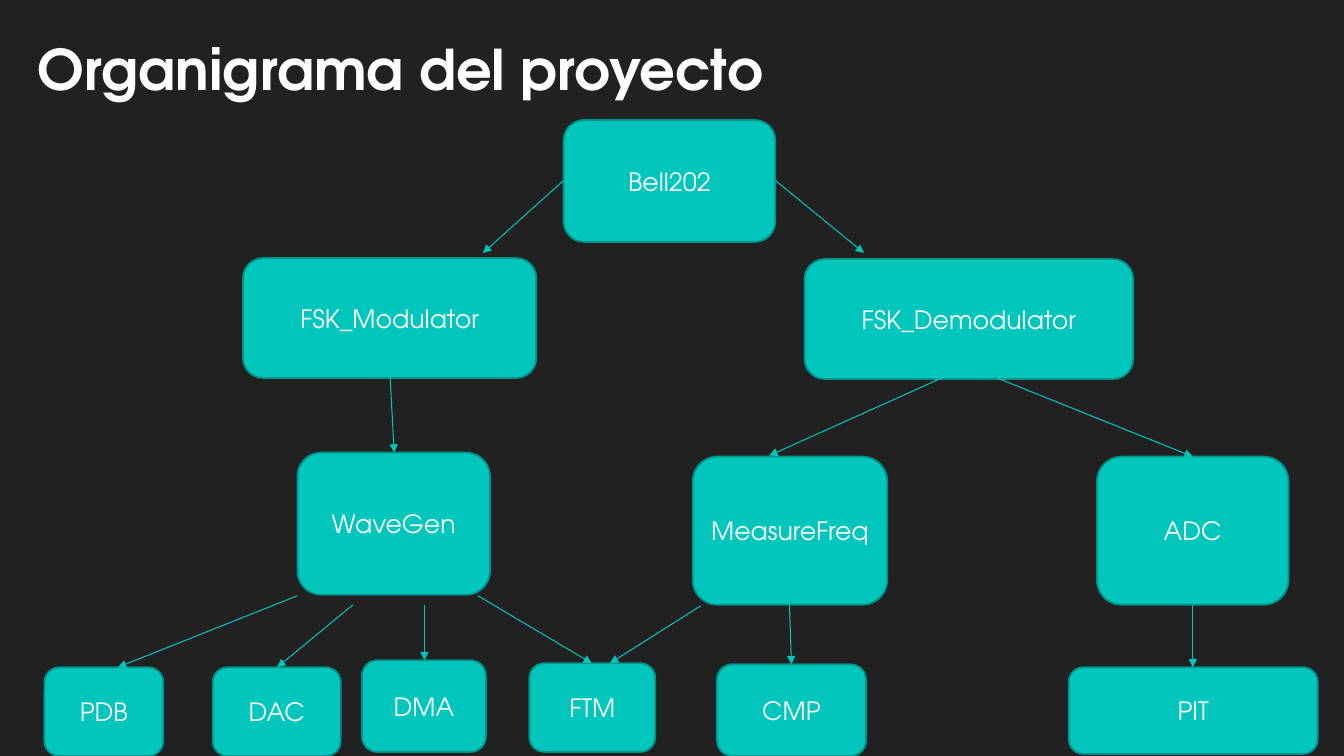
from lxml.etree import SubElement
from pptx import Presentation
from pptx.dml.color import RGBColor
from pptx.enum.shapes import MSO_CONNECTOR as Connector, MSO_SHAPE as Shape
from pptx.enum.text import MSO_ANCHOR as Anchor, PP_ALIGN as Align
from pptx.oxml.ns import qn
from pptx.util import Emu, Pt

EMU_PER_PX = 9144
SLIDE_SIZE = (1333, 750)
TITLE_BOX = (27, 0, 1156, 106)
CHART_BOX = (0, 106, 1333, 644)

FONT = "TeX Gyre Adventor"
BACKGROUND = RGBColor(0x21, 0x21, 0x21)
TITLE_COLOR = RGBColor(0xFE, 0xFE, 0xFE)
NODE_TEXT = RGBColor(0xFF, 0xFF, 0xFF)
NODE_FILL = RGBColor(0x00, 0xC6, 0xBB)
NODE_BORDER = RGBColor(0x00, 0x92, 0x8A)

NODES = [
    ("Bell202", 559, 13, 210, 121),
    ("FSK_Modulator", 241, 150, 291, 119),
    ("FSK_Demodulator", 798, 151, 326, 119),
    ("WaveGen", 295, 343, 191, 141),
    ("MeasureFreq", 687, 347, 193, 147),
    ("ADC", 1088, 347, 190, 147),
    ("PDB", 44, 556, 118, 88),
    ("DAC", 211, 556, 127, 88),
    ("DMA", 359, 549, 123, 91),
    ("FTM", 525, 552, 125, 88),
    ("CMP", 711, 553, 148, 91),
    ("PIT", 1060, 556, 247, 86),
]

ARROWS = [
    ((559, 73), (479, 145)),
    ((769, 73), (857, 145)),
    ((387, 269), (391, 343)),
    ((934, 269), (763, 346)),
    ((989, 269), (1183, 347)),
    ((295, 485), (117, 556)),
    ((350, 494), (275, 556)),
    ((421, 494), (421, 549)),
    ((474, 485), (587, 552)),
    ((695, 495), (605, 552)),
    ((783, 494), (785, 553)),
    ((1183, 494), (1183, 556)),
]


def px(*lengths):
    """Turn pixel lengths into EMU."""
    return [Emu(length * EMU_PER_PX) for length in lengths]


def add_text_shadow(run):
    """Give a run a soft dark shadow below its letters."""
    effects = SubElement(run._r.get_or_add_rPr(), qn("a:effectLst"))
    shadow = SubElement(effects, qn("a:outerShdw"), blurRad="50800",
                        dist="38100", dir="2700000", algn="tl")
    color = SubElement(shadow, qn("a:srgbClr"), val="000000")
    SubElement(color, qn("a:alpha"), val="45000")


def add_title(slide, box, text):
    """Place the slide title at the bottom of its box."""
    text_frame = slide.shapes.add_textbox(*px(*box)).text_frame
    text_frame.word_wrap = True
    text_frame.vertical_anchor = Anchor.BOTTOM
    text_frame.text = text
    run = text_frame.paragraphs[0].runs[0]
    run.font.size = Pt(40)
    run.font.bold = True
    run.font.color.rgb = TITLE_COLOR
    add_text_shadow(run)
    run.font.name = FONT


def add_node(slide, box, text):
    """Draw one rounded module box with its name."""
    node = slide.shapes.add_shape(Shape.ROUNDED_RECTANGLE, *px(*box))
    node.shadow.inherit = False
    node.fill.solid()
    node.fill.fore_color.rgb = NODE_FILL
    node.line.color.rgb = NODE_BORDER
    node.line.width = Pt(1.25)
    node.text_frame.text = text
    node.text_frame.vertical_anchor = Anchor.MIDDLE
    paragraph = node.text_frame.paragraphs[0]
    paragraph.alignment = Align.CENTER
    font = paragraph.runs[0].font
    font.name = FONT
    font.size = Pt(18)
    font.color.rgb = NODE_TEXT


def add_arrow(slide, start, end):
    """Draw a thin line with a triangle at its end."""
    arrow = slide.shapes.add_connector(Connector.STRAIGHT, *px(*start, *end))
    arrow.line.color.rgb = NODE_FILL
    arrow.line.width = Pt(0.75)
    SubElement(arrow.line._get_or_add_ln(), qn("a:tailEnd"), type="triangle")
    SubElement(arrow._element.spPr, qn("a:effectLst"))


def add_organigram(slide, box):
    """Place all modules and the arrows between them inside the box."""
    left, top = box[:2]
    for name, x, y, width, height in NODES:
        add_node(slide, (left + x, top + y, width, height), name)
    for arrow in ARROWS:
        start, end = [(left + x, top + y) for x, y in arrow]
        add_arrow(slide, start, end)


def main():
    """Build and save the presentation."""
    presentation = Presentation()
    presentation.slide_width, presentation.slide_height = px(*SLIDE_SIZE)
    slide = presentation.slides.add_slide(presentation.slide_layouts[6])
    slide.background.fill.solid()
    slide.background.fill.fore_color.rgb = BACKGROUND
    add_title(slide, TITLE_BOX, "Organigrama del proyecto")
    add_organigram(slide, CHART_BOX)
    presentation.save("out.pptx")


if __name__ == "__main__":
    main()
